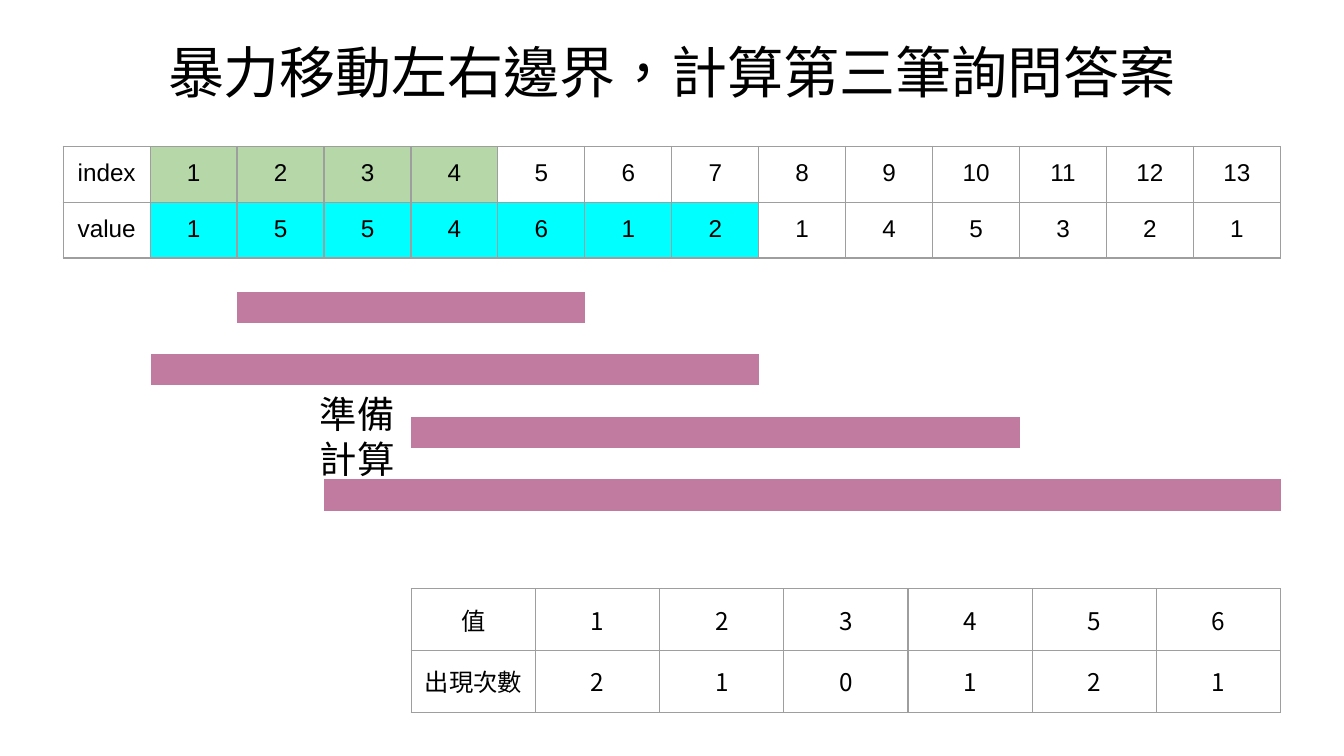
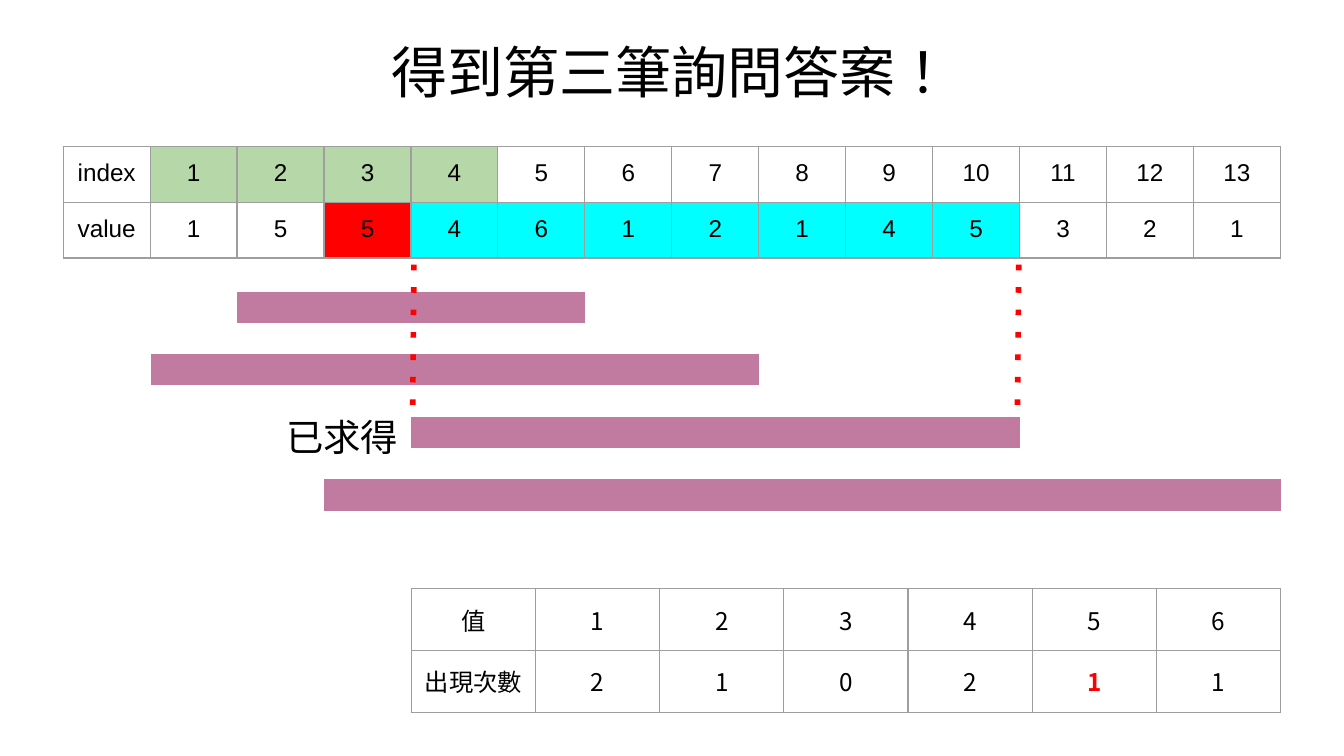
"""Build two slides that show how the third range query is answered."""
import lxml.etree
import pptx
import pptx.dml.color
import pptx.enum.shapes
import pptx.enum.text
import pptx.oxml.ns
import pptx.util

Inches = pptx.util.Inches
Pt = pptx.util.Pt
RGBColor = pptx.dml.color.RGBColor
qn = pptx.oxml.ns.qn
Align = pptx.enum.text.PP_ALIGN

BLACK = RGBColor(0x00, 0x00, 0x00)
RED = RGBColor(0xFF, 0x00, 0x00)
GREEN = RGBColor(0xB6, 0xD7, 0xA8)
CYAN = RGBColor(0x00, 0xFF, 0xFF)
MAUVE = RGBColor(0xC2, 0x7B, 0xA0)
GREY = RGBColor(0x9E, 0x9E, 0x9E)

LATIN_FONT = "Arial"
CHINESE_FONT = "Noto Sans CJK TC"
NO_STYLE = "{2D5ABB26-0587-4C30-8999-92F81FD0307C}"
MARGIN = Inches(0.1)

VALUES = [1, 5, 5, 4, 6, 1, 2, 1, 4, 5, 3, 2, 1]
BLOCK_INDEXES = range(1, 5)
QUERIES = [(2, 5), (1, 7), (4, 10), (3, 13)]


def set_margins(holder):
    """Give a cell or text frame equal margins on every side."""
    holder.margin_left = holder.margin_right = MARGIN
    holder.margin_top = holder.margin_bottom = MARGIN


def format_text(frame, size, font_name, align=Align.LEFT):
    """Set the alignment, font and language of a text frame."""
    for para in frame.paragraphs:
        para.alignment = align
        for span in para.runs:
            span.font.size = Pt(size)
            span.font.name = font_name
            span.font.color.rgb = BLACK
            properties = span.font._element
            properties.set("lang", "zh-TW")
            lxml.etree.SubElement(properties, qn("a:ea"), typeface=font_name)


def set_title(page, text):
    """Place the centred slide title."""
    title = page.shapes.title
    title.left, title.top = Inches(0), Inches(0.18)
    title.width, title.height = Inches(10), Inches(0.67)
    frame = title.text_frame
    frame.text = text
    frame.auto_size = pptx.enum.text.MSO_AUTO_SIZE.NONE
    frame.vertical_anchor = pptx.enum.text.MSO_ANCHOR.TOP
    set_margins(frame)
    format_text(frame, 30, CHINESE_FONT, Align.CENTER)


def add_label(page, left, top, text):
    """Add the status beside the third query bar."""
    box = page.shapes.add_textbox(Inches(left), Inches(top), Inches(1.09), Inches(0.51))
    frame = box.text_frame
    frame.word_wrap = True
    frame.text = text
    set_margins(frame)
    format_text(frame, 20, CHINESE_FONT)


def add_plain_table(page, rows, columns, left, top, width, height):
    """Add an unstyled table with equal rows and columns and clear cells."""
    frame = page.shapes.add_table(
        rows, columns, Inches(left), Inches(top), Inches(width), Inches(height)
    )
    table = frame.table
    table.first_row = table.horz_banding = False
    table._tbl.tblPr.find(qn("a:tableStyleId")).text = NO_STYLE
    for cell in table.iter_cells():
        cell.fill.background()
    return table


def paint(cell, color):
    """Fill one cell with a solid colour."""
    cell.fill.solid()
    cell.fill.fore_color.rgb = color


def add_borders(cell):
    """Draw a thin grey line on every side of a cell."""
    properties = cell._tc.get_or_add_tcPr()
    for position, side in enumerate(("lnL", "lnR", "lnT", "lnB")):
        line = lxml.etree.Element(qn(f"a:{side}"), w=str(Pt(0.75)))
        fill = lxml.etree.SubElement(line, qn("a:solidFill"))
        lxml.etree.SubElement(fill, qn("a:srgbClr"), val=str(GREY))
        properties.insert(position, line)


def add_data_table(page, rows, left, top, width, height, font_name):
    """Add a bordered table of centred text."""
    table = add_plain_table(page, len(rows), len(rows[0]), left, top, width, height)
    for cell, value in zip(table.iter_cells(), sum(rows, [])):
        cell.text = str(value)
        set_margins(cell)
        format_text(cell.text_frame, 13, font_name, Align.CENTER)
        add_borders(cell)
    return table


def add_array(page, window, removed):
    """Add the array with its block, current window and removed indexes."""
    rows = [["index", *range(1, len(VALUES) + 1)], ["value", *VALUES]]
    table = add_data_table(page, rows, 0.47, 1.09, 9.06, 0.83, LATIN_FONT)
    for row, indexes, color in (
        (0, BLOCK_INDEXES, GREEN),
        (1, window, CYAN),
        (1, removed, RED),
    ):
        for index in indexes:
            paint(table.cell(row, index), color)


def add_query_bars(page):
    """Add one bar per query on every second row of a grid."""
    table = add_plain_table(
        page, 2 * len(QUERIES) - 1, len(VALUES), 1.12, 2.17, 8.41, 1.63
    )
    for cell in table.iter_cells():
        cell.margin_top = cell.margin_bottom = 0
        para = cell.text_frame.paragraphs[0]
        lxml.etree.SubElement(para._p, qn("a:endParaRPr"), sz="600")
    for number, (first, last) in enumerate(QUERIES):
        for index in range(first, last + 1):
            paint(table.cell(2 * number, index - 1), MAUVE)


def add_counts(page, counts, changed):
    """Add the count of each value, with changed values in bold red."""
    rows = [["值", *range(1, len(counts) + 1)], ["出現次數", *counts]]
    table = add_data_table(page, rows, 3.06, 4.38, 6.47, 0.92, CHINESE_FONT)
    for value in changed:
        font = table.cell(1, value).text_frame.paragraphs[0].runs[0].font
        font.bold = True
        font.color.rgb = RED


def add_boundary(page, left):
    """Add a dotted red line from the array to the third bar."""
    connector = page.shapes.add_connector(
        pptx.enum.shapes.MSO_CONNECTOR.STRAIGHT,
        Inches(left), Inches(1.97), Inches(left - 0.01), Inches(3.13),
    )
    connector.line.color.rgb = RED
    connector.line.width = Pt(3)
    properties = connector._element.spPr
    line = properties.find(qn("a:ln"))
    lxml.etree.SubElement(line, qn("a:prstDash"), val="dot")
    lxml.etree.SubElement(properties, qn("a:effectLst"))


def add_step(deck, title, window, removed, label, counts, changed, boundaries):
    """Add one slide of the walk-through."""
    page = deck.slides.add_slide(deck.slide_layouts[5])
    set_title(page, title)
    add_array(page, window, removed)
    add_query_bars(page)
    add_label(page, *label)
    add_counts(page, counts, changed)
    for left in boundaries:
        add_boundary(page, left)


def main():
    """Build and save the deck."""
    deck = pptx.Presentation()
    deck.slide_width = Inches(10)
    deck.slide_height = deck.slide_width * 9 // 16
    add_step(
        deck,
        title="暴力移動左右邊界，計算第三筆詢問答案",
        window=range(1, 8),
        removed=[],
        label=(2.28, 2.81, "準備\n計算"),
        counts=[2, 1, 0, 1, 2, 1],
        changed=[],
        boundaries=[],
    )
    add_step(
        deck,
        title="得到第三筆詢問答案！",
        window=range(4, 11),
        removed=[3],
        label=(2.03, 2.98, "已求得"),
        counts=[2, 1, 0, 2, 1, 1],
        changed=[5],
        boundaries=[7.58, 3.08],
    )
    deck.save("out.pptx")


if __name__ == "__main__":
    main()
